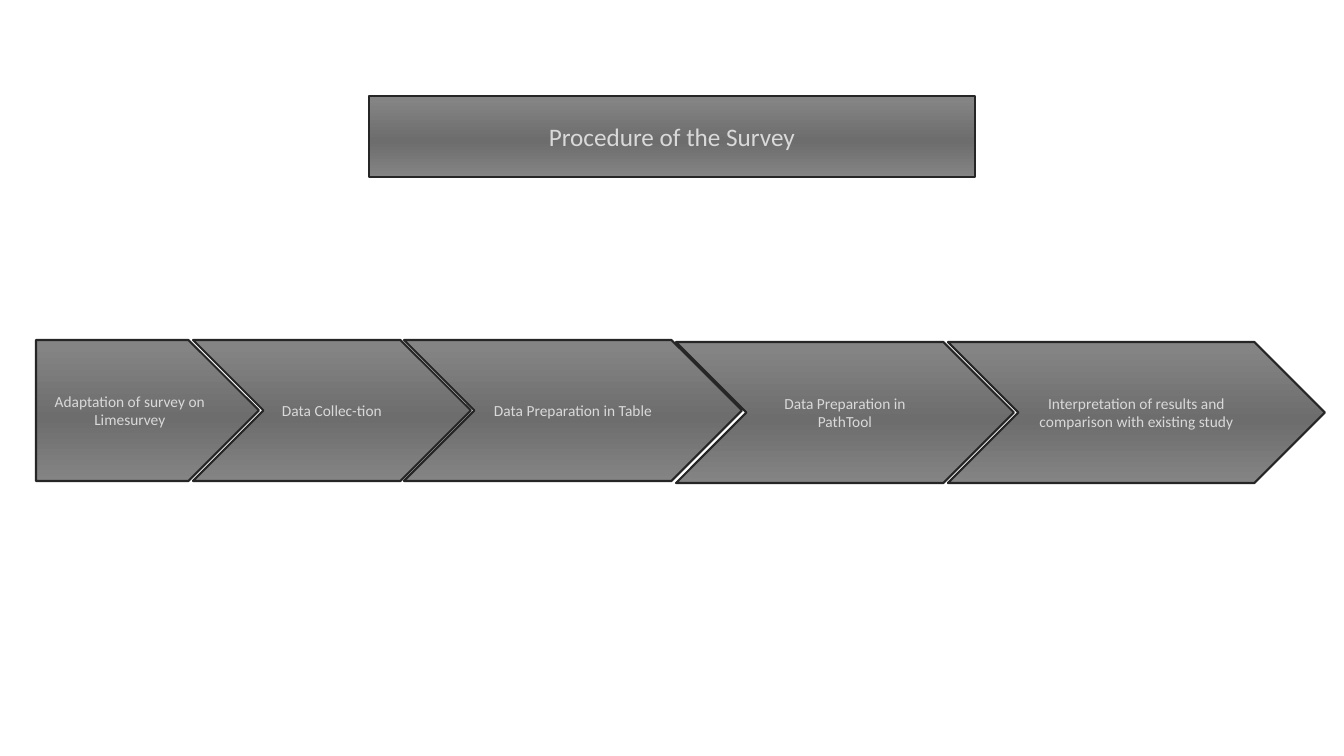
from copy import deepcopy

from pptx import Presentation
from pptx.dml.color import RGBColor
from pptx.enum.shapes import MSO_SHAPE as SHAPE
from pptx.enum.text import MSO_ANCHOR, MSO_AUTO_SIZE, PP_ALIGN
from pptx.oxml.ns import qn
from pptx.util import Pt

EMU_PER_PX = 12192000 / 1344
FONT = "Calibri"
COLORS = {"edge": "848484", "middle": "6D6D6D", "outline": "262626", "text": "D9D9D9"}
STOPS = [(0.04, "edge"), (0.55, "middle"), (1, "edge")]
STEP_HEIGHT = 141
STEPS = [
    ("Adaptation of survey on Limesurvey", 36, 340, 223),
    ("Data Collec-tion", 193, 340, 278),
    ("Data Preparation in Table", 404, 340, 338),
    ("Data Preparation in PathTool", 676, 342, 338),
    ("Interpretation of results and comparison with existing study", 948, 342, 377),
]


def px(n):
    return round(n * EMU_PER_PX)


def color(name):
    return RGBColor.from_string(COLORS[name])


def write(tf, text, size):
    p = tf.paragraphs[0]
    p.text = text
    p.alignment = PP_ALIGN.CENTER
    p.font.name = FONT
    p.font.size = Pt(size)
    p.font.color.rgb = color("text")


def fill_gradient(s):
    s.fill.gradient()
    s.fill.gradient_angle = 270
    stop_list = s._element.spPr.find(qn("a:gradFill")).find(qn("a:gsLst"))
    stop_list.append(deepcopy(stop_list[0]))
    for stop, (position, name) in zip(s.fill.gradient_stops, STOPS):
        stop.position = position
        stop.color.rgb = color(name)


def add_panel(slide, kind, left, top, width, height):
    s = slide.shapes.add_shape(kind, px(left), px(top), px(width), px(height))
    s.shadow.inherit = False
    fill_gradient(s)
    s.line.color.rgb = color("outline")
    s.line.width = Pt(1.5)
    return s


def add_title(slide, text):
    s = add_panel(slide, SHAPE.ROUNDED_RECTANGLE, 369, 96, 606, 81)
    s.adjustments[0] = 0
    tf = slide.shapes.add_textbox(px(369), px(116), px(606), px(40)).text_frame
    tf.word_wrap = True
    tf.auto_size = MSO_AUTO_SIZE.SHAPE_TO_FIT_TEXT
    write(tf, text, 18)


def add_step(slide, kind, text, left, top, width):
    tf = add_panel(slide, kind, left, top, width, STEP_HEIGHT).text_frame
    tf.word_wrap = True
    tf.vertical_anchor = MSO_ANCHOR.MIDDLE
    write(tf, text, 11)


def main():
    prs = Presentation()
    prs.slide_width, prs.slide_height = px(1344), px(756)
    slide = prs.slides.add_slide(prs.slide_layouts[6])
    add_title(slide, "Procedure of the Survey")
    for i, step in enumerate(STEPS):
        add_step(slide, SHAPE.CHEVRON if i else SHAPE.PENTAGON, *step)
    prs.save("out.pptx")


if __name__ == "__main__":
    main()
